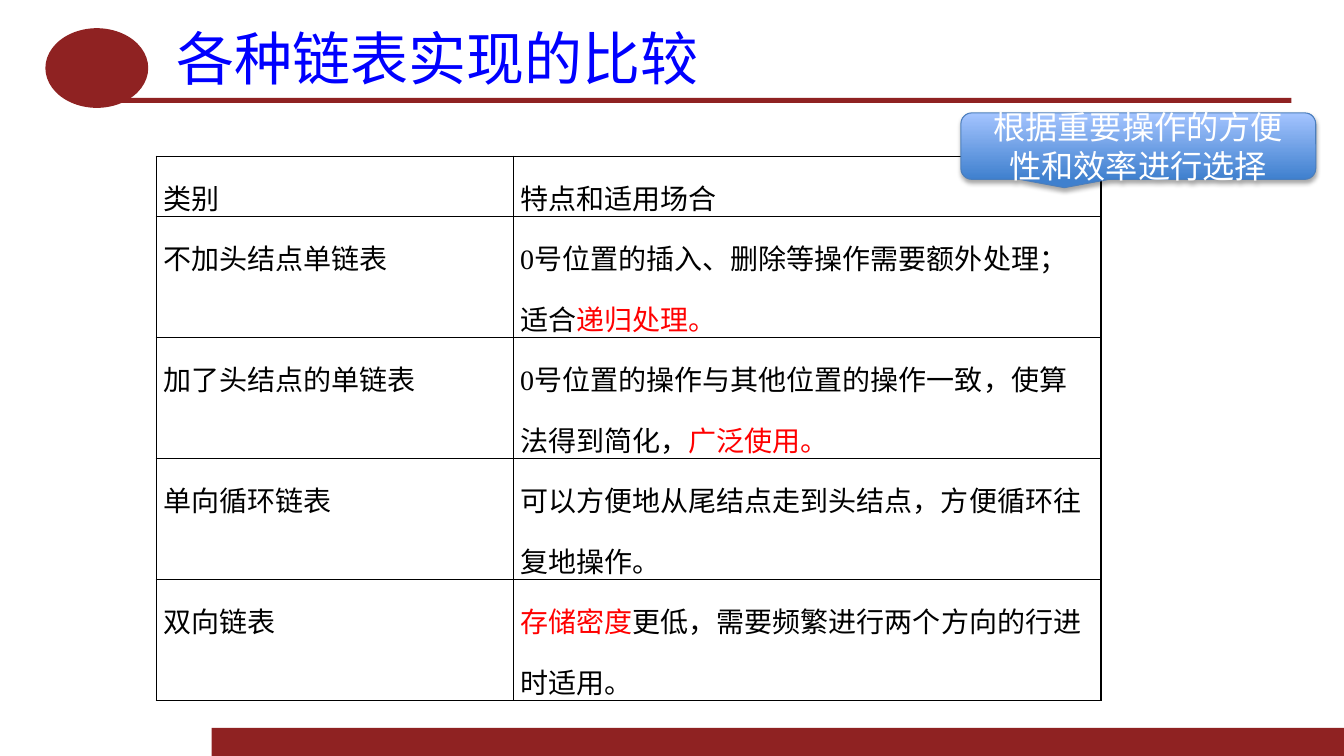
from dataclasses import dataclass

from lxml import etree
from pptx import Presentation
from pptx.dml.color import RGBColor
from pptx.enum.shapes import MSO_SHAPE
from pptx.enum.text import MSO_ANCHOR, PP_ALIGN
from pptx.oxml import parse_xml
from pptx.oxml.ns import nsdecls, qn
from pptx.util import Inches, Pt

RECTANGLE, OVAL = MSO_SHAPE.RECTANGLE, MSO_SHAPE.OVAL
CALLOUT = MSO_SHAPE.ROUNDED_RECTANGULAR_CALLOUT
MIDDLE = MSO_ANCHOR.MIDDLE
CENTER, JUSTIFY = PP_ALIGN.CENTER, PP_ALIGN.JUSTIFY

TITLE = "各种链表实现的比较"
ADVICE = "根据重要操作的方便性和效率进行选择"
# Each cell is a list of (text, is_key_point) spans.
ROWS = [
    ([("类别", False)], [("特点和适用场合", False)]),
    ([("不加头结点单链表", False)],
     [("0号位置的插入、删除等操作需要额外处理；适合", False), ("递归处理。", True)]),
    ([("加了头结点的单链表", False)],
     [("0号位置的操作与其他位置的操作一致，使算法得到简化，", False), ("广泛使用。", True)]),
    ([("单向循环链表", False)],
     [("可以方便地从尾结点走到头结点，方便循环往复地操作。", False)]),
    ([("双向链表", False)],
     [("存储密度", True), ("更低，需要频繁进行两个方向的行进时适用。", False)]),
]


@dataclass(frozen=True)
class Theme:
    maroon: str = "8F2222"
    title: str = "0000FF"
    ink: str = "000000"
    key: str = "FF0000"
    paper: str = "FFFFFF"
    callout_low: str = "3F80CE"
    callout_high: str = "A4C4FF"
    callout_edge: str = "4B7EBC"
    title_font: str = "Noto Sans CJK SC"
    table_font: str = "Times New Roman"
    callout_font: str = "Calibri"
    title_size: float = 41.4
    table_size: float = 20
    callout_size: float = 23


THEME = Theme()
WIDTH, HEIGHT = 13.33, 7.5
RIGHT = 12.81
LINE = 0.6
COLUMNS = (3.54, 5.83)
ROW_LINES = (1, 2, 2, 2, 2)
TABLE_LEFT = TABLE_TOP = 1.55
DECORATIONS = [
    (RECTANGLE, (2.1, 7.22, WIDTH - 2.1, HEIGHT - 7.22)),
    (RECTANGLE, (1.18, 0.97, RIGHT - 1.18, 0.05)),
    (OVAL, (0.45, 0.28, 1.02, 0.79)),
]
TITLE_AREA = (1.62, 0.21, RIGHT - 1.62, 0.71)
CALLOUT_AREA = (9.53, 1.12, 3.52, 0.66)


def color(code):
    return RGBColor.from_string(code)


def inches(area):
    return [Inches(length) for length in area]


def style(para, name, size, code):
    para.font.name = name
    para.font.size = Pt(size)
    para.font.color.rgb = color(code)


def add_label(box, text, align, name, size, code):
    """Fill a box with one vertically centred, wrapped paragraph."""
    frame = box.text_frame
    frame.word_wrap = True
    frame.vertical_anchor = MIDDLE
    frame.margin_left = frame.margin_right = Inches(0.13)
    frame.margin_top = frame.margin_bottom = Inches(0.06)
    para = frame.paragraphs[0]
    para.text = text
    para.alignment = align
    style(para, name, size, code)


def add_borders(cell):
    properties = cell._tc.get_or_add_tcPr()
    for index, side in enumerate(("lnL", "lnR", "lnT", "lnB")):
        properties.insert(index, parse_xml(
            f'<a:{side} {nsdecls("a")} w="{Pt(1)}"><a:solidFill>'
            f'<a:srgbClr val="{THEME.ink}"/></a:solidFill></a:{side}>'))


def fill_cell(cell, spans):
    cell.fill.background()
    add_borders(cell)
    cell.margin_left = cell.margin_right = Inches(0.07)
    cell.margin_top = cell.margin_bottom = 0
    para = cell.text_frame.paragraphs[0]
    para.line_spacing = 1.5
    style(para, THEME.table_font, THEME.table_size, THEME.ink)
    for text, is_key in spans:
        span = para.add_run()
        span.text = text
        if is_key:
            span.font.color.rgb = color(THEME.key)


def add_decorations(page):
    for kind, area in DECORATIONS:
        shape = page.shapes.add_shape(kind, *inches(area))
        shape.shadow.inherit = False
        shape.fill.solid()
        shape.fill.fore_color.rgb = color(THEME.maroon)
        shape.line.fill.background()


def add_comparison(page):
    area = (TABLE_LEFT, TABLE_TOP, sum(COLUMNS), LINE * sum(ROW_LINES))
    table = page.shapes.add_table(len(ROWS), len(COLUMNS), *inches(area)).table
    table.first_row = table.horz_banding = False
    for column, width in zip(table.columns, COLUMNS):
        column.width = Inches(width)
    for row, lines, contents in zip(table.rows, ROW_LINES, ROWS):
        row.height = Inches(LINE * lines)
        for cell, spans in zip(row.cells, contents):
            fill_cell(cell, spans)


def add_callout(page):
    callout = page.shapes.add_shape(CALLOUT, *inches(CALLOUT_AREA))
    callout.fill.gradient()
    callout.fill.gradient_angle = 90
    for stop, code in zip(callout.fill.gradient_stops,
                          (THEME.callout_low, THEME.callout_high)):
        stop.color.rgb = color(code)
    callout.line.color.rgb = color(THEME.callout_edge)
    callout.line.width = Pt(0.75)
    callout.shadow.inherit = False
    effects = callout._element.spPr.find(qn("a:effectLst"))
    shadow = etree.SubElement(effects, qn("a:outerShdw"), blurRad=str(Pt(3.1)),
                              dist=str(Pt(1.8)), dir="5400000", rotWithShape="0")
    tint = etree.SubElement(shadow, qn("a:srgbClr"), val=THEME.ink)
    etree.SubElement(tint, qn("a:alpha"), val="35000")
    add_label(callout, ADVICE, CENTER, THEME.callout_font,
              THEME.callout_size, THEME.paper)


def main():
    deck = Presentation()
    deck.slide_width, deck.slide_height = Inches(WIDTH), Inches(HEIGHT)
    page = deck.slides.add_slide(deck.slide_layouts[6])
    add_decorations(page)
    title = page.shapes.add_textbox(*inches(TITLE_AREA))
    add_label(title, TITLE, JUSTIFY, THEME.title_font,
              THEME.title_size, THEME.title)
    add_comparison(page)
    add_callout(page)
    deck.save("out.pptx")


if __name__ == "__main__":
    main()
